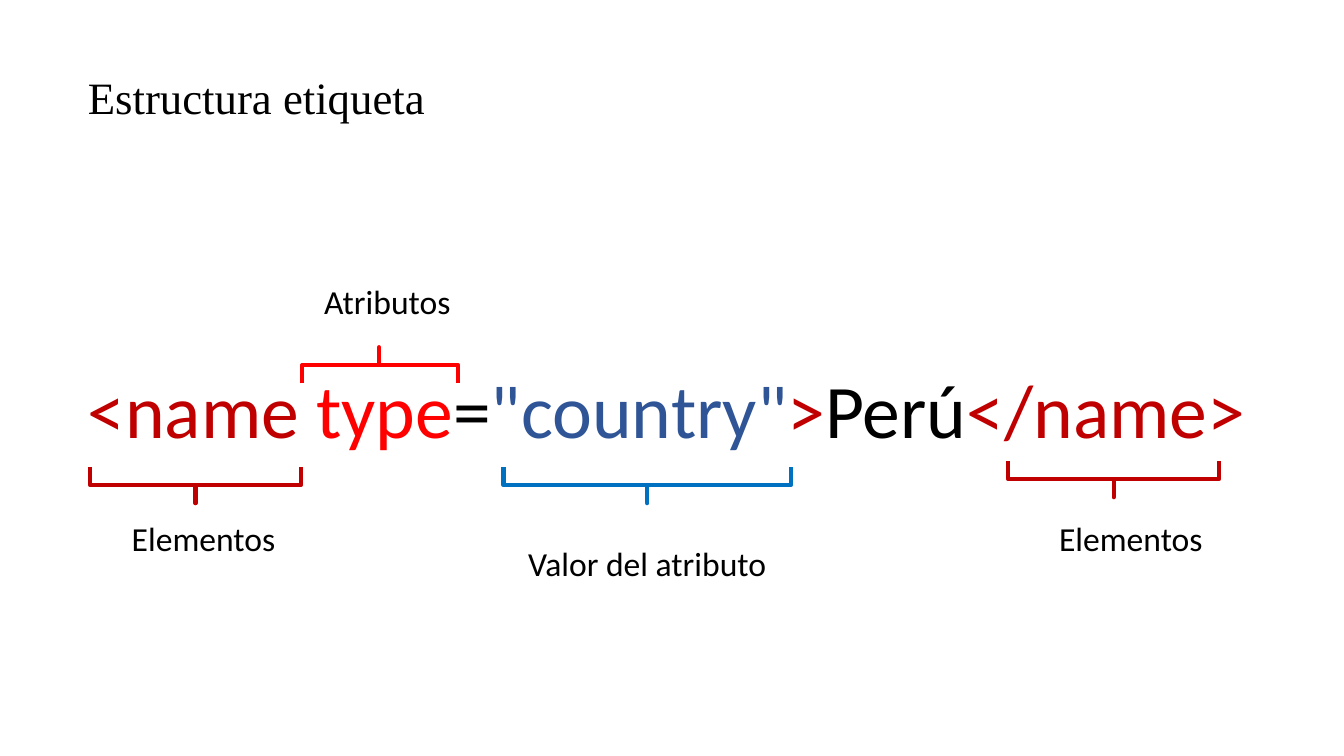
from pptx import Presentation
from pptx.dml.color import RGBColor
from pptx.enum import shapes, text
from pptx.util import Cm, Pt

COLOURS = {
    "black": "000000",
    "element": "C00000",
    "attribute": "FF0000",
    "value": "2F5597",
    "value brace": "0070C0",
}
TITLE_FORMAT = {"name": "Times New Roman", "size": Pt(32)}
TAG_FORMAT = {"name": "Calibri", "size": Pt(54)}
LABEL_FORMAT = {"name": "Calibri", "size": Pt(24)}

TAG_PARTS = [
    ("<name ", "element"),
    ("type", "attribute"),
    ("=", "black"),
    ('"country"', "value"),
    (">", "element"),
    ("Perú", "black"),
    ("</name>", "element"),
]
# Label: text, left, top, width (cm)
LABELS = [
    ("Elementos", 3.07, 12.93, 4.17),
    ("Elementos", 26.44, 12.93, 4.17),
    ("Atributos", 7.92, 6.96, 3.76),
    ("Valor del atributo", 13.06, 13.56, 6.6),
]
# Brace as seen: left, top, width (cm), rotation, tip position, colour
BRACES = [
    (2.27, 11.77, 5.31, 90, 0.5, "element"),
    (25.41, 11.62, 5.31, 90, 0.5, "element"),
    (12.69, 11.77, 7.24, 90, 0.5, "value brace"),
    (7.61, 8.75, 3.94, 270, 0.493, "attribute"),
]
BRACE_DEPTH = 0.91


def colour(name):
    return RGBColor.from_string(COLOURS[name])


def add_run(paragraph, wording, font_format, colour_name="black"):
    run = paragraph.add_run()
    run.text = wording
    for attribute, value in font_format.items():
        setattr(run.font, attribute, value)
    run.font.color.rgb = colour(colour_name)


def set_title(slide, wording):
    title = slide.shapes.title
    box = {"left": Cm(1.96), "top": Cm(1.6), "width": Cm(12.62), "height": Cm(1.63)}
    for attribute, value in box.items():
        setattr(title, attribute, value)
    frame = title.text_frame
    frame.vertical_anchor = text.MSO_ANCHOR.BOTTOM
    paragraph = frame.paragraphs[0]
    paragraph.alignment = text.PP_ALIGN.LEFT
    paragraph.line_spacing = 1.0
    add_run(paragraph, wording, TITLE_FORMAT)


def add_text(slide, left, top, width, height, parts, font_format, line_spacing=1.0):
    box = slide.shapes.add_textbox(Cm(left), Cm(top), Cm(width), Cm(height))
    box.text_frame.word_wrap = True
    paragraph = box.text_frame.paragraphs[0]
    paragraph.line_spacing = line_spacing
    for wording, colour_name in parts:
        add_run(paragraph, wording, font_format, colour_name)


def add_brace(slide, left, top, width, rotation, tip, colour_name):
    # A turned brace keeps its centre, so width and depth swap around it
    shift = (width - BRACE_DEPTH) / 2
    brace = slide.shapes.add_shape(
        shapes.MSO_SHAPE.RIGHT_BRACE,
        Cm(left + shift), Cm(top - shift), Cm(BRACE_DEPTH), Cm(width),
    )
    brace.rotation = rotation
    brace.adjustments[0] = 0
    brace.adjustments[1] = tip
    brace.shadow.inherit = False
    brace.fill.background()
    brace.line.color.rgb = colour(colour_name)
    brace.line.width = Pt(3)


def main():
    presentation = Presentation()
    presentation.slide_width = Cm(33.87)
    presentation.slide_height = Cm(19.05)
    slide = presentation.slides.add_slide(presentation.slide_layouts[5])

    # Title and tag
    set_title(slide, "Estructura etiqueta")
    add_text(slide, 1.96, 9.27, 29.85, 2.01, TAG_PARTS, TAG_FORMAT, 0.9)

    # Names of the parts of the tag
    for wording, left, top, width in LABELS:
        add_text(slide, left, top, width, 1.27, [(wording, "black")], LABEL_FORMAT)

    # Braces
    for brace in BRACES:
        add_brace(slide, *brace)

    presentation.save("out.pptx")


if __name__ == "__main__":
    main()
